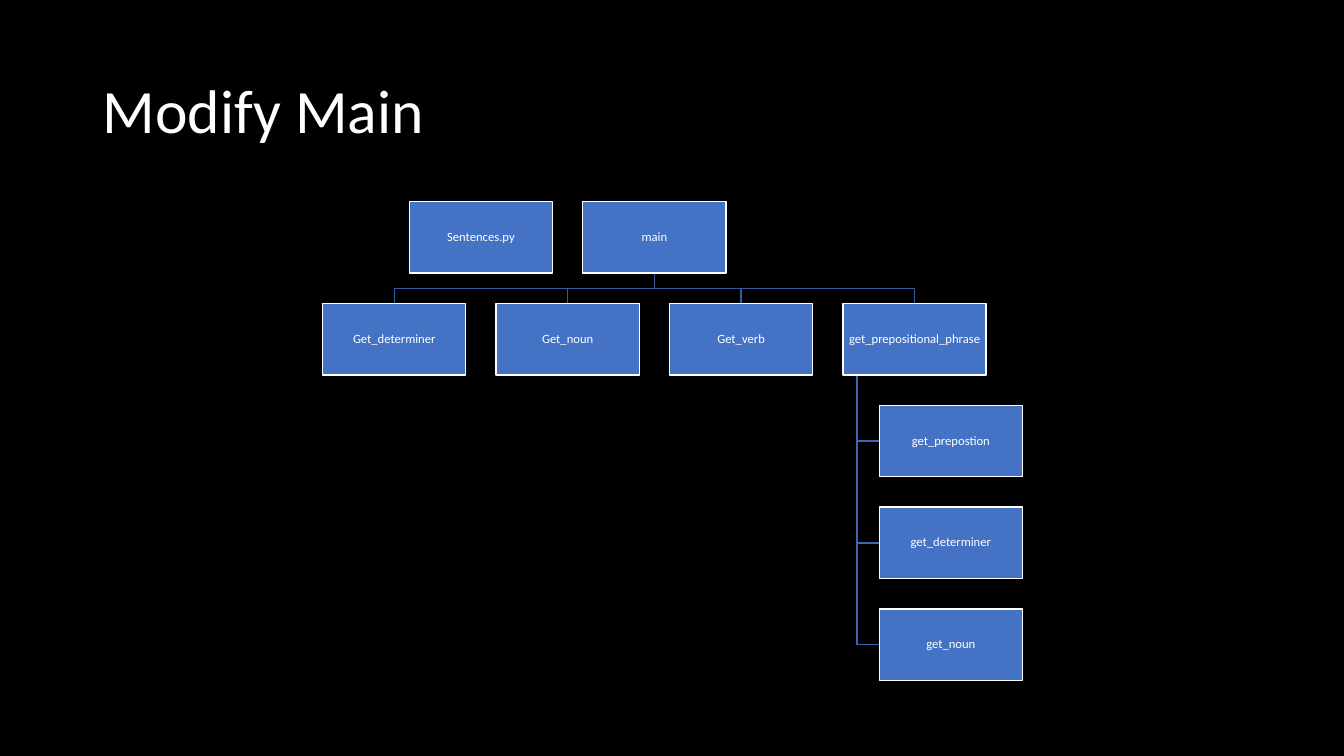
from dataclasses import dataclass

from pptx import Presentation
from pptx.dml.color import RGBColor
from pptx.enum.shapes import MSO_SHAPE
from pptx.enum.text import MSO_ANCHOR, PP_ALIGN
from pptx.util import Inches, Pt

RECT = MSO_SHAPE.RECTANGLE
MIDDLE = MSO_ANCHOR.MIDDLE
LEFT, CENTER = PP_ALIGN.LEFT, PP_ALIGN.CENTER

COLORS = {
    "back": "000000",
    "text": "FFFFFF",
    "box": "4472C4",
    "branch": "365B9D",
    "twig": "3E67B2",
}
FONT = "Calibri"
WIDTH, HEIGHT = 1.42, 0.71
TOP, ROW_STEP = 2.0, 1.01
COL_STEP = 1.72
STEM = 8.5  # x of the line that the lower boxes hang from


@dataclass
class Box:
    label: str
    left: float
    row: int

    @property
    def top(self) -> float:
        return TOP + self.row * ROW_STEP

    @property
    def base(self) -> float:
        return self.top + HEIGHT

    @property
    def center(self) -> float:
        return self.left + WIDTH / 2

    @property
    def middle(self) -> float:
        return self.top + HEIGHT / 2


def color(name: str) -> RGBColor:
    return RGBColor.from_string(COLORS[name])


def set_text(frame, text: str, size: int, align) -> None:
    frame.text = text
    frame.word_wrap = True
    frame.vertical_anchor = MIDDLE
    para = frame.paragraphs[0]
    para.alignment = align
    para.line_spacing = 0.9
    font = para.runs[0].font
    font.name = FONT
    font.size = Pt(size)
    font.color.rgb = color("text")


def draw_link(slide, points: list[tuple[float, float]], shade: str) -> None:
    start, *rest = [(Inches(x), Inches(y)) for x, y in points]
    path = slide.shapes.build_freeform(*start)
    path.add_line_segments(rest, close=False)
    link = path.convert_to_shape()
    link.shadow.inherit = False
    link.fill.background()
    link.line.color.rgb = color(shade)
    link.line.width = Pt(1)


def draw_box(slide, box: Box) -> None:
    shape = slide.shapes.add_shape(
        RECT, Inches(box.left), Inches(box.top), Inches(WIDTH), Inches(HEIGHT)
    )
    shape.shadow.inherit = False
    shape.fill.solid()
    shape.fill.fore_color.rgb = color("box")
    shape.line.color.rgb = color("text")
    shape.line.width = Pt(1)
    frame = shape.text_frame
    frame.margin_left = frame.margin_right = Inches(0.01)
    frame.margin_top = frame.margin_bottom = Inches(0.01)
    set_text(frame, box.label, 9, CENTER)


def make_row(labels: list[str], left: float, row: int) -> list[Box]:
    return [Box(label, left + i * COL_STEP, row) for i, label in enumerate(labels)]


def main() -> None:
    deck = Presentation()
    deck.slide_width, deck.slide_height = Inches(13.33), Inches(7.5)
    slide = deck.slides.add_slide(deck.slide_layouts[5])
    slide.background.fill.solid()
    slide.background.fill.fore_color.rgb = color("back")

    title = slide.shapes.title
    title.left, title.top = Inches(0.92), Inches(0.4)
    title.width, title.height = Inches(11.5), Inches(1.45)
    set_text(title.text_frame, "Modify Main", 44, LEFT)

    heads = make_row(["Sentences.py", "main"], 4.06, 0)
    calls = make_row(
        ["Get_determiner", "Get_noun", "Get_verb", "get_prepositional_phrase"], 3.2, 1
    )
    parts = [
        Box(label, 8.72, row)
        for row, label in enumerate(["get_prepostion", "get_determiner", "get_noun"], 2)
    ]

    root, phrase = heads[-1], calls[-1]
    for part in reversed(parts):
        points = [(STEM, phrase.base), (STEM, part.middle), (part.left, part.middle)]
        draw_link(slide, points, "twig")
    for call in reversed(calls):
        bend = (root.base + call.top) / 2
        points = [
            (root.center, root.base),
            (root.center, bend),
            (call.center, bend),
            (call.center, call.top),
        ]
        draw_link(slide, points, "branch")
    for box in heads + calls + parts:
        draw_box(slide, box)

    deck.save("out.pptx")


if __name__ == "__main__":
    main()
